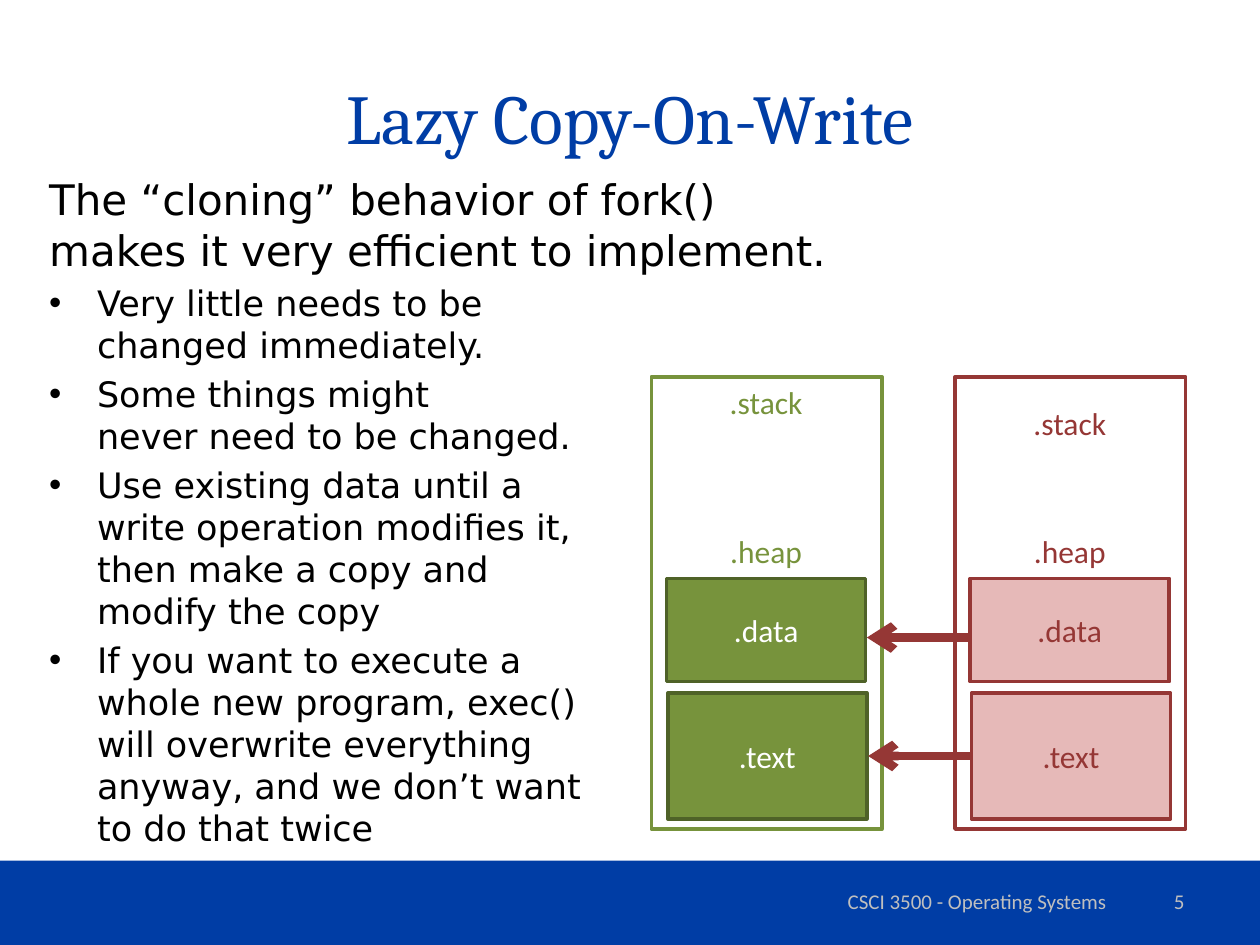
from copy import deepcopy

from pptx import Presentation
from pptx.dml.color import RGBColor
from pptx.enum.shapes import MSO_CONNECTOR, MSO_SHAPE
from pptx.enum.text import MSO_ANCHOR, MSO_AUTO_SIZE, PP_ALIGN
from pptx.oxml.ns import qn
from pptx.oxml.xmlchemy import OxmlElement
from pptx.util import Inches, Pt

COLORS = {
    "blue": "003DA5", "black": "000000", "white": "FFFFFF", "gray": "BFBFBF",
    "red": "953735", "pink": "E6B9B8", "green": "77933C", "dark green": "4F6228",
}


def add_text(shape, text, size=18, font="Calibri", color="black",
             align=PP_ALIGN.LEFT, anchor=MSO_ANCHOR.MIDDLE, wrap=True,
             bullet=None, space_before=0, append=False):
    """Write one paragraph into a shape; newlines become line breaks."""
    frame = shape.text_frame
    frame.word_wrap = wrap
    frame.auto_size = MSO_AUTO_SIZE.NONE
    frame.vertical_anchor = anchor
    paragraph = frame.add_paragraph() if append else frame.paragraphs[0]
    paragraph.text = text
    properties = paragraph._p.get_or_add_pPr()
    properties.set("marL", str(Inches(0.38) if bullet else 0))
    properties.set("indent", str(Inches(-0.38) if bullet else 0))
    if bullet:
        mark = OxmlElement("a:buChar")
        mark.set("char", bullet)
    else:
        mark = OxmlElement("a:buNone")
    properties.append(mark)
    paragraph.alignment = align
    paragraph.space_before = Pt(space_before)
    for run in paragraph.runs:
        run.font.size = Pt(size)
        run.font.name = font
        run.font.color.rgb = RGBColor.from_string(COLORS[color])
    for line_break in paragraph._p.findall(qn("a:br")):
        line_break.append(deepcopy(paragraph.runs[0]._r.get_or_add_rPr()))


def add_box(left, top, width, height, fill=None, line=None):
    box = slide.shapes.add_shape(MSO_SHAPE.RECTANGLE, Inches(left), Inches(top),
                                 Inches(width), Inches(height))
    box.shadow.inherit = False
    if fill:
        box.fill.solid()
        box.fill.fore_color.rgb = RGBColor.from_string(COLORS[fill])
    else:
        box.fill.background()
    if line:
        box.line.color.rgb = RGBColor.from_string(COLORS[line])
        box.line.width = Pt(2)
    else:
        box.line.fill.background()
    return box


presentation = Presentation()
presentation.slide_width = Inches(10)
presentation.slide_height = Inches(7.5)
slide = presentation.slides.add_slide(presentation.slide_layouts[1])

# Title and body
title, body = slide.placeholders
title.left, title.top, title.width, title.height = map(Inches, (0.5, 0.3, 9, 1.25))
add_text(title, "Lazy Copy-On-Write", size=40, font="Cambria", color="blue",
         align=PP_ALIGN.CENTER)

body.left, body.top, body.width, body.height = map(Inches, (0.29, 1.33, 9, 5.62))
add_text(body, "The “cloning” behavior of fork()\nmakes it very efficient to implement.",
         size=24, font="DejaVu Sans", anchor=MSO_ANCHOR.TOP)
points = [
    "Very little needs to be\nchanged immediately.",
    "Some things might\nnever need to be changed.",
    "Use existing data until a\nwrite operation modifies it,\nthen make a copy and\nmodify the copy",
    "If you want to execute a\nwhole new program, exec()\nwill overwrite everything\n"
    "anyway, and we don’t want\nto do that twice",
]
for point in points:
    add_text(body, point, size=20, font="DejaVu Sans", anchor=MSO_ANCHOR.TOP,
             bullet="•", space_before=4, append=True)

# Footer band
add_box(0, 6.83, 10, 0.67, fill="blue")
footers = [
    ("CSCI 3500 - Operating Systems", 6.17, 3.17, PP_ALIGN.CENTER),
    ("5", 7.17, 2.33, PP_ALIGN.RIGHT),
]
for text, left, width, align in footers:
    footer = slide.shapes.add_textbox(Inches(left), Inches(6.95), Inches(width), Inches(0.4))
    add_text(footer, text, size=12, color="gray", align=align)

# Memory of the child (right) and parent (left) processes
processes = [
    # left, frame, segment fill, segment line, segment text, stack label top
    (7.58, "red", "pink", "red", "red", 3.16),
    (5.17, "green", "green", "dark green", "white", 2.99),
]
for left, frame_color, fill, line, text_color, stack_top in processes:
    add_box(left, 2.99, 1.83, 3.59, line=frame_color)
    for text, top in ((".heap", 4.17), (".stack", stack_top)):
        label = slide.shapes.add_textbox(Inches(left + 0.52), Inches(top),
                                         Inches(0.78), Inches(0.4))
        add_text(label, text, color=frame_color, align=PP_ALIGN.CENTER,
                 anchor=MSO_ANCHOR.TOP, wrap=False)
    for text, offset, top, height in ((".text", 0.13, 5.5, 1), (".data", 0.12, 4.59, 0.82)):
        segment = add_box(left + offset, top, 1.58, height, fill=fill, line=line)
        add_text(segment, text, color=text_color, align=PP_ALIGN.CENTER)

# Child segments refer to the parent's segments
for start, end, height in ((7.7, 6.88, 5.06), (7.71, 6.89, 6)):
    arrow = slide.shapes.add_connector(MSO_CONNECTOR.STRAIGHT, Inches(start), Inches(height),
                                       Inches(end), Inches(height))
    arrow.line.color.rgb = RGBColor.from_string(COLORS["red"])
    arrow.line.width = Pt(5)
    head = OxmlElement("a:tailEnd")
    head.set("type", "arrow")
    arrow.line._get_or_add_ln().append(head)
    arrow._element.spPr.append(OxmlElement("a:effectLst"))

presentation.save("out.pptx")
